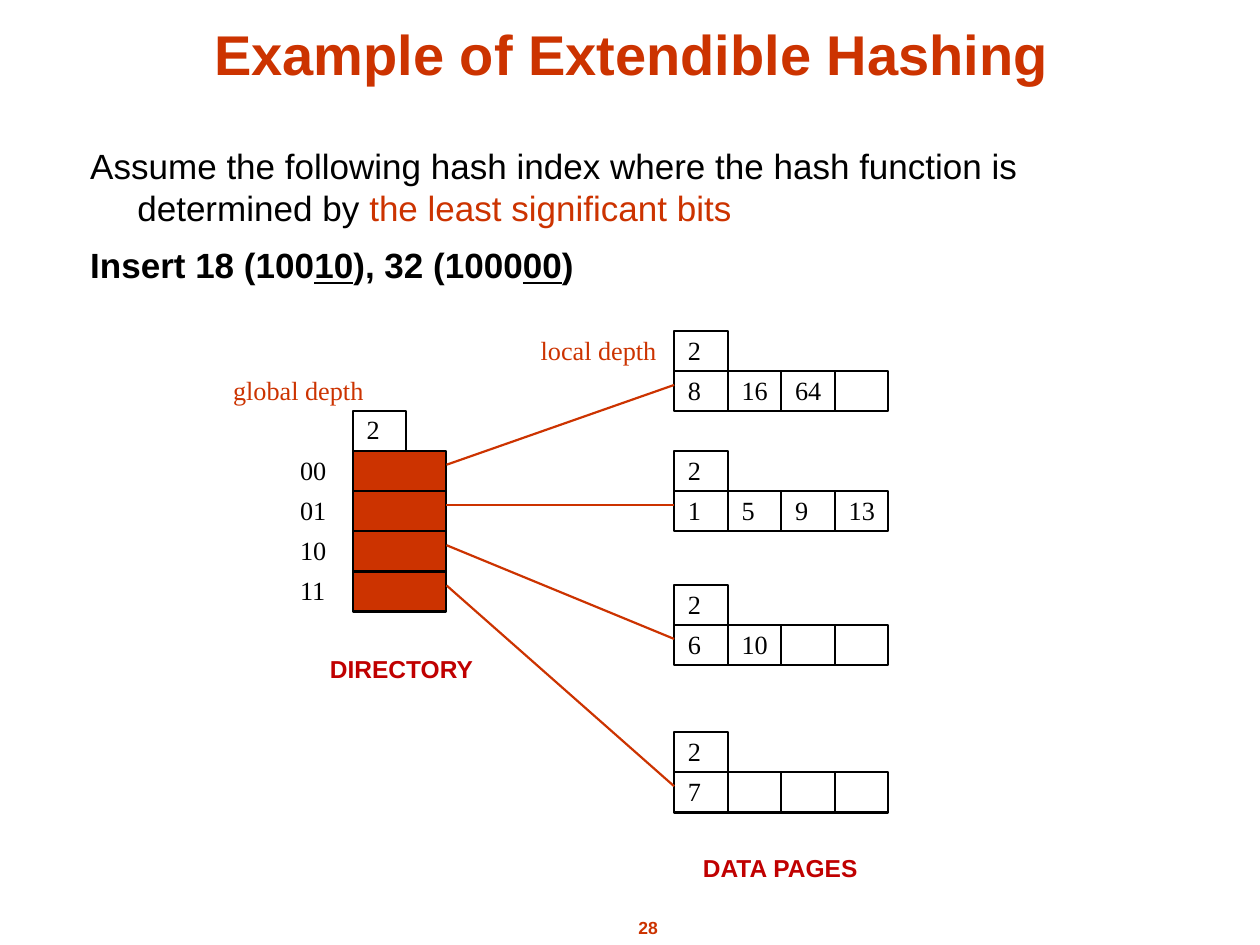
from lxml.etree import SubElement
from pptx import Presentation
from pptx.dml.color import RGBColor
from pptx.enum.shapes import MSO_CONNECTOR as Connector, MSO_SHAPE as Shape
from pptx.enum.text import MSO_ANCHOR as Anchor, PP_ALIGN as Align
from pptx.oxml.ns import qn
from pptx.util import Cm, Pt

COLORS = {"accent": "CC3300", "label": "C00000", "ink": "000000", "paper": "FFFFFF"}
SERIF = "Times New Roman"
ROW = 0.81
SLOT = 1.08
TEXT_DROP = 0.06
LINK_DROP = 0.28
DIRECTORY_LEFT, DIRECTORY_TOP, DIRECTORY_WIDTH = 7.11, 9.09, 1.89
PAGES_LEFT = 13.59


def write(para, text, size=15, font=SERIF, color="ink", bold=False, underline=False):
    span = para.add_run()
    span.text = text
    span.font.size = Pt(size)
    span.font.name = font
    span.font.bold = bold
    span.font.underline = underline
    span.font.color.rgb = RGBColor.from_string(COLORS[color])


def add_cell(page, left, top, width, fill="paper", text=""):
    cell = page.shapes.add_shape(Shape.RECTANGLE, Cm(left), Cm(top), Cm(width), Cm(ROW))
    cell.shadow.inherit = False
    cell.fill.solid()
    cell.fill.fore_color.rgb = RGBColor.from_string(COLORS[fill])
    cell.line.color.rgb = RGBColor.from_string(COLORS["ink"])
    cell.line.width = Pt(1.25)
    if text:
        frame = cell.text_frame
        frame.word_wrap = True
        frame.vertical_anchor = Anchor.TOP
        frame.margin_left, frame.margin_top = Cm(0.28), Cm(TEXT_DROP)
        frame.margin_right = frame.margin_bottom = 0
        frame.paragraphs[0].alignment = Align.LEFT
        write(frame.paragraphs[0], text)


deck = Presentation()
deck.slide_width, deck.slide_height = Cm(25.4), Cm(19.05)
page = deck.slides.add_slide(deck.slide_layouts[6])

title = page.shapes.add_textbox(Cm(1.52), Cm(0.18), Cm(22.43), Cm(1.7))
title.text_frame.word_wrap = True
title.text_frame.vertical_anchor = Anchor.BOTTOM
title.text_frame.paragraphs[0].alignment = Align.CENTER
write(title.text_frame.paragraphs[0], "Example of Extendible Hashing",
      size=32, font="Arial", color="accent", bold=True)

body = page.shapes.add_textbox(Cm(1.57), Cm(2.79), Cm(21.79), Cm(3.81))
body.text_frame.word_wrap = True
premise = body.text_frame.paragraphs[0]
task = body.text_frame.add_paragraph()
task.space_before = Pt(8.8)
for para in (premise, task):
    indent = para._p.get_or_add_pPr()
    indent.set("marL", str(Cm(0.95)))
    indent.set("indent", str(-Cm(0.95)))
write(premise, "Assume the following hash index where the hash function is determined by ",
      size=20, font="Arial")
write(premise, "the least significant bits", size=20, font="Arial", color="accent")
for text, underline in [("Insert 18 (100", False), ("10", True), ("), 32 (1000", False),
                        ("00", True), (")", False)]:
    write(task, text, size=20, font="Arial", bold=True, underline=underline)

headings = [
    ("DIRECTORY", 6.4, 13.06, 3.43, 0.84, 14, "label", Align.LEFT),
    ("DATA PAGES", 13.92, 17.07, 3.76, 0.84, 14, "label", Align.LEFT),
    ("28", 11.96, 18.36, 2.21, 0.69, 10, "accent", Align.CENTER),
]
for text, left, top, width, height, size, color, align in headings:
    box = page.shapes.add_textbox(Cm(left), Cm(top), Cm(width), Cm(height))
    box.text_frame.word_wrap = False
    box.text_frame.paragraphs[0].alignment = align
    write(box.text_frame.paragraphs[0], text, size=size, font="Arial", color=color, bold=True)

labels = [("global depth", 4.7, 7.54, 2.64, "accent"),
          ("local depth", 10.9, 6.73, 2.34, "accent")]
add_cell(page, DIRECTORY_LEFT, DIRECTORY_TOP - ROW, SLOT, text="2")
for index, bits in enumerate(["00", "01", "10", "11"]):
    top = DIRECTORY_TOP + index * ROW
    add_cell(page, DIRECTORY_LEFT, top, DIRECTORY_WIDTH, fill="accent")
    labels.append((bits, 6.05, top + TEXT_DROP, 0.53, "ink"))

for text, left, top, width, color in labels:
    box = page.shapes.add_textbox(Cm(left), Cm(top), Cm(width), Cm(0.64))
    frame = box.text_frame
    frame.word_wrap = False
    frame.margin_left = frame.margin_top = frame.margin_right = frame.margin_bottom = 0
    write(frame.paragraphs[0], text, color=color)

data_pages = [
    (6.67, ["8", "16", "64", ""]),
    (9.09, ["1", "5", "9", "13"]),
    (11.79, ["6", "10", "", ""]),
    (14.76, ["7", "", "", ""]),
]
for index, (top, keys) in enumerate(data_pages):
    for slot, key in enumerate(keys):
        add_cell(page, PAGES_LEFT + slot * SLOT, top + ROW, SLOT, text=key)
    add_cell(page, PAGES_LEFT, top, SLOT, text="2")
    link = page.shapes.add_connector(
        Connector.STRAIGHT,
        Cm(DIRECTORY_LEFT + DIRECTORY_WIDTH), Cm(DIRECTORY_TOP + index * ROW + LINK_DROP),
        Cm(PAGES_LEFT), Cm(top + ROW + LINK_DROP))
    link.line.color.rgb = RGBColor.from_string(COLORS["accent"])
    link.line.width = Pt(1.25)
    SubElement(link._element.spPr, qn("a:effectLst"))

deck.save("out.pptx")
